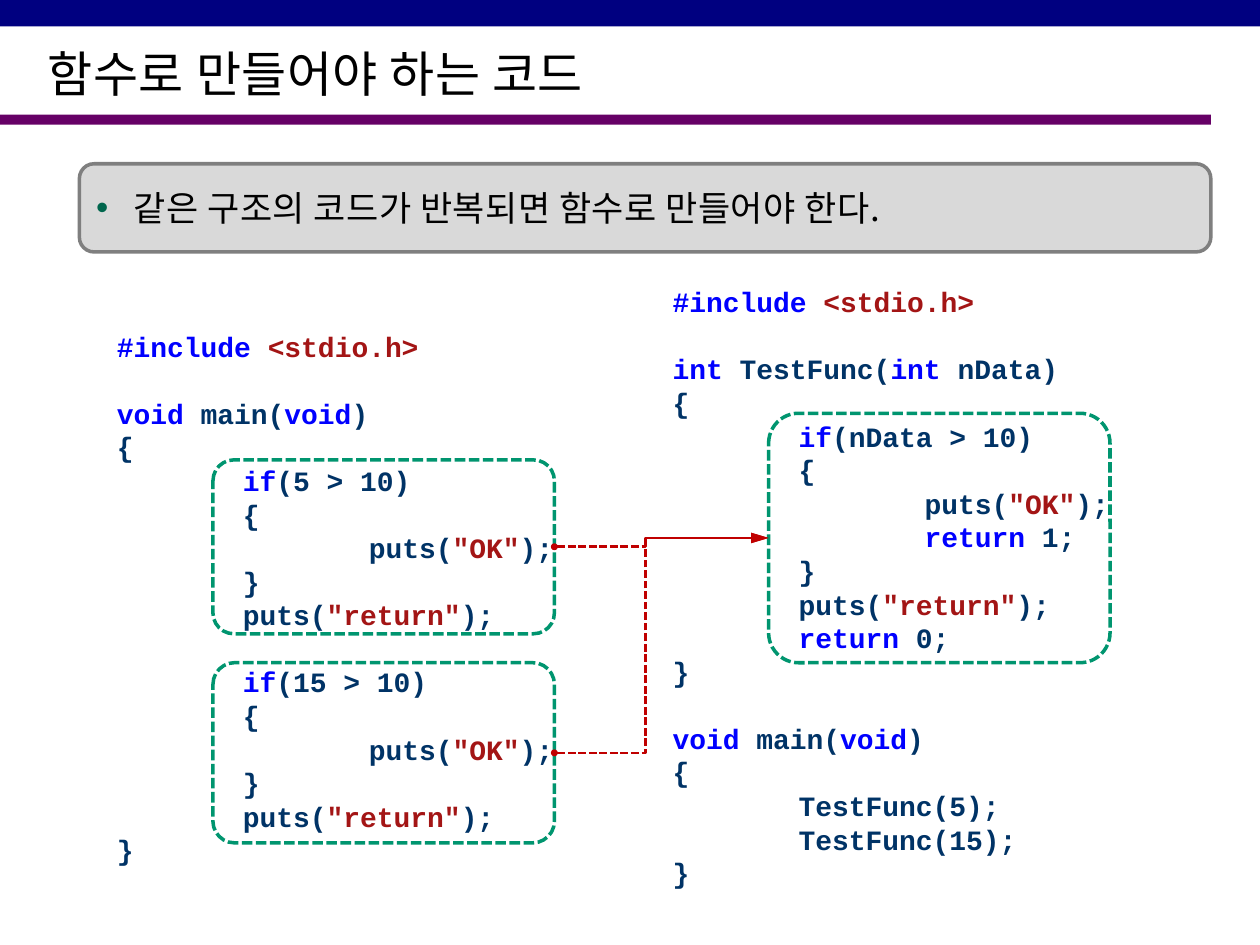
from lxml.etree import SubElement
from pptx import Presentation
from pptx.dml.color import RGBColor
from pptx.enum.dml import MSO_LINE
from pptx.enum.shapes import MSO_CONNECTOR, MSO_SHAPE
from pptx.enum.text import MSO_ANCHOR, PP_ALIGN
from pptx.oxml.ns import qn
from pptx.util import Inches, Pt

COLORS = {
    "top_bar": "000080", "rule": "660066", "text": "000000",
    "panel": "D9D9D9", "panel_edge": "7F7F7F", "bullet": "00664D",
    "code": "003366", "keyword": "0000FF", "literal": "A31515",
    "frame": "00956F", "arrow": "C00000",
}
KOREAN = "Noto Sans CJK KR"
KEYWORDS = {"#include", "void", "int", "if", "return"}
LINE_HEIGHT = Pt(19.2)
LEFT_SITE, RIGHT_SITE = 1, 3

INCLUDE = ["#include |<stdio.h>", ""]
MAIN_START = ["void| main(|void|)", "{"]


def repeated_test(number):
    """Return the lines of one test that is written out in main."""
    return [f"\t|if|({number} > 10)", "\t{", '\t\tputs(|"OK"|);', "\t}",
            '\tputs(|"return"|);']


BEFORE = [*INCLUDE, *MAIN_START, *repeated_test(5), "", *repeated_test(15), "}"]
AFTER = [
    *INCLUDE,
    "int| TestFunc(|int| nData)", "{",
    "\t|if|(nData > 10)", "\t{", '\t\tputs(|"OK"|);', "\t\t|return| 1;", "\t}",
    '\tputs(|"return"|);', "\t|return| 0;", "}", "",
    *MAIN_START, "\tTestFunc(5);", "\tTestFunc(15);", "}",
]


def rgb(name):
    """Return the named colour."""
    return RGBColor.from_string(COLORS[name])


def inches(box):
    """Turn a box of plain numbers into lengths."""
    return [Inches(value) for value in box]


def apply_format(target, values):
    """Set each attribute of the target from a dict."""
    for name, value in values.items():
        setattr(target, name, value)


def style_font(font, color, **values):
    """Set the colour and the other values of a font."""
    font.color.rgb = rgb(color)
    apply_format(font, values)


def add_korean_run(paragraph, words, size, spacing):
    """Add a run in the Korean font, spaced in hundredths of a point."""
    run = paragraph.add_run()
    run.text = words
    style_font(run.font, "text", name=KOREAN, size=Pt(size), bold=False)
    run.font._element.set("spc", str(spacing))
    SubElement(run.font._element, qn("a:ea"), typeface=KOREAN)


def add_block(slide, kind, box, fill=None, edge=None):
    """Add a flat shape with an optional fill and edge."""
    block = slide.shapes.add_shape(kind, *inches(box))
    block.shadow.inherit = False
    if fill:
        block.fill.solid()
        block.fill.fore_color.rgb = rgb(fill)
    else:
        block.fill.background()
    if edge:
        block.line.color.rgb = rgb(edge)
        block.line.width = Pt(2)
    else:
        block.line.fill.background()
    return block


def add_heading(slide, box, words):
    """Place the title and the two bars around it."""
    add_block(slide, MSO_SHAPE.RECTANGLE, (0, 0.91, 9.61, 0.08), "rule")
    add_block(slide, MSO_SHAPE.RECTANGLE, (0, 0, 10, 0.21), "top_bar")
    title = slide.shapes.title
    apply_format(title, dict(zip(("left", "top", "width", "height"), inches(box))))
    title.text_frame.vertical_anchor = MSO_ANCHOR.MIDDLE
    paragraph = title.text_frame.paragraphs[0]
    paragraph.alignment = PP_ALIGN.LEFT
    add_korean_run(paragraph, words, 28, 35)


def add_rule_panel(slide, box, words):
    """Place the grey panel with its bulleted rule."""
    panel = add_block(slide, MSO_SHAPE.ROUNDED_RECTANGLE, box, "panel", "panel_edge")
    panel.text_frame.word_wrap = True
    panel.text_frame.vertical_anchor = MSO_ANCHOR.MIDDLE
    paragraph = panel.text_frame.paragraphs[0]
    paragraph.alignment = PP_ALIGN.LEFT
    properties = paragraph._p.get_or_add_pPr()
    properties.set("marL", str(Inches(0.3)))
    properties.set("indent", str(-Inches(0.3)))
    bullet_color = SubElement(properties, qn("a:buClr"))
    SubElement(bullet_color, qn("a:srgbClr"), val=COLORS["bullet"])
    SubElement(properties, qn("a:buFont"), typeface="Arial")
    SubElement(properties, qn("a:buChar"), char="•")
    add_korean_run(paragraph, words, 20, 25)


def token_color(token):
    """Return the colour name for a piece of code."""
    if token.strip() in KEYWORDS:
        return "keyword"
    return "literal" if token[0] in '"<' else "code"


def add_code(slide, box, lines):
    """Place a listing, with a line of space for each empty line."""
    frame = slide.shapes.add_textbox(*inches(box)).text_frame
    apply_format(frame, {"word_wrap": True, "vertical_anchor": MSO_ANCHOR.MIDDLE})
    previous = None
    for line in lines:
        if line:
            paragraph = frame.paragraphs[0] if previous is None else frame.add_paragraph()
            tabs = SubElement(paragraph._p.get_or_add_pPr(), qn("a:tabLst"))
            for stop in (1, 2):
                SubElement(tabs, qn("a:tab"), pos=str(Inches(stop)), algn="l")
            paragraph.line_spacing = LINE_HEIGHT
            if previous == "":
                paragraph.space_before = LINE_HEIGHT
            for token in line.split("|"):
                run = paragraph.add_run()
                run.text = token
                style_font(run.font, token_color(token), name="Courier New",
                           size=Pt(16), bold=True)
        previous = line


def add_code_frame(slide, box):
    """Place a dashed frame around a part of the code."""
    frame = add_block(slide, MSO_SHAPE.ROUNDED_RECTANGLE, box, edge="frame")
    frame.adjustments[0] = 0.12
    frame.line.dash_style = MSO_LINE.SQUARE_DOT
    return frame


def add_arrow(slide, source, target):
    """Join two frames with a bent dashed arrow."""
    arrow = slide.shapes.add_connector(MSO_CONNECTOR.ELBOW, 0, 0, 0, 0)
    arrow.begin_connect(source, RIGHT_SITE)
    arrow.end_connect(target, LEFT_SITE)
    arrow.line.color.rgb = rgb("arrow")
    apply_format(arrow.line, {"width": Pt(1.5), "dash_style": MSO_LINE.SQUARE_DOT})
    properties = arrow._element.spPr
    bend = properties.find(qn("a:prstGeom")).find(qn("a:avLst"))
    SubElement(bend, qn("a:gd"), name="adj1", fmla="val 42500")
    line = properties.find(qn("a:ln"))
    SubElement(line, qn("a:headEnd"), type="oval", w="sm", len="sm")
    SubElement(line, qn("a:tailEnd"), type="triangle", w="med", len="lg")
    SubElement(properties, qn("a:effectLst"))


def main():
    """Build the slide and save it."""
    deck = Presentation()
    deck.slide_width, deck.slide_height = Inches(10), Inches(7.5)
    slide = deck.slides.add_slide(deck.slide_layouts[5])
    add_heading(slide, (0.28, 0.29, 8.98, 0.58), "함수로 만들어야 하는 코드")
    add_rule_panel(slide, (0.63, 1.3, 8.98, 0.7),
                   "같은 구조의 코드가 반복되면 함수로 만들어야 한다.")
    add_code(slide, (0.83, 2.56, 3.7, 4.37), BEFORE)
    add_code(slide, (5.24, 2.21, 3.7, 4.9), AFTER)
    first_test = add_code_frame(slide, (1.69, 3.65, 2.71, 1.38))
    second_test = add_code_frame(slide, (1.69, 5.26, 2.71, 1.43))
    shared_function = add_code_frame(slide, (6.1, 3.28, 2.71, 1.98))
    for test in (first_test, second_test):
        add_arrow(slide, test, shared_function)
    deck.save("out.pptx")


if __name__ == "__main__":
    main()
